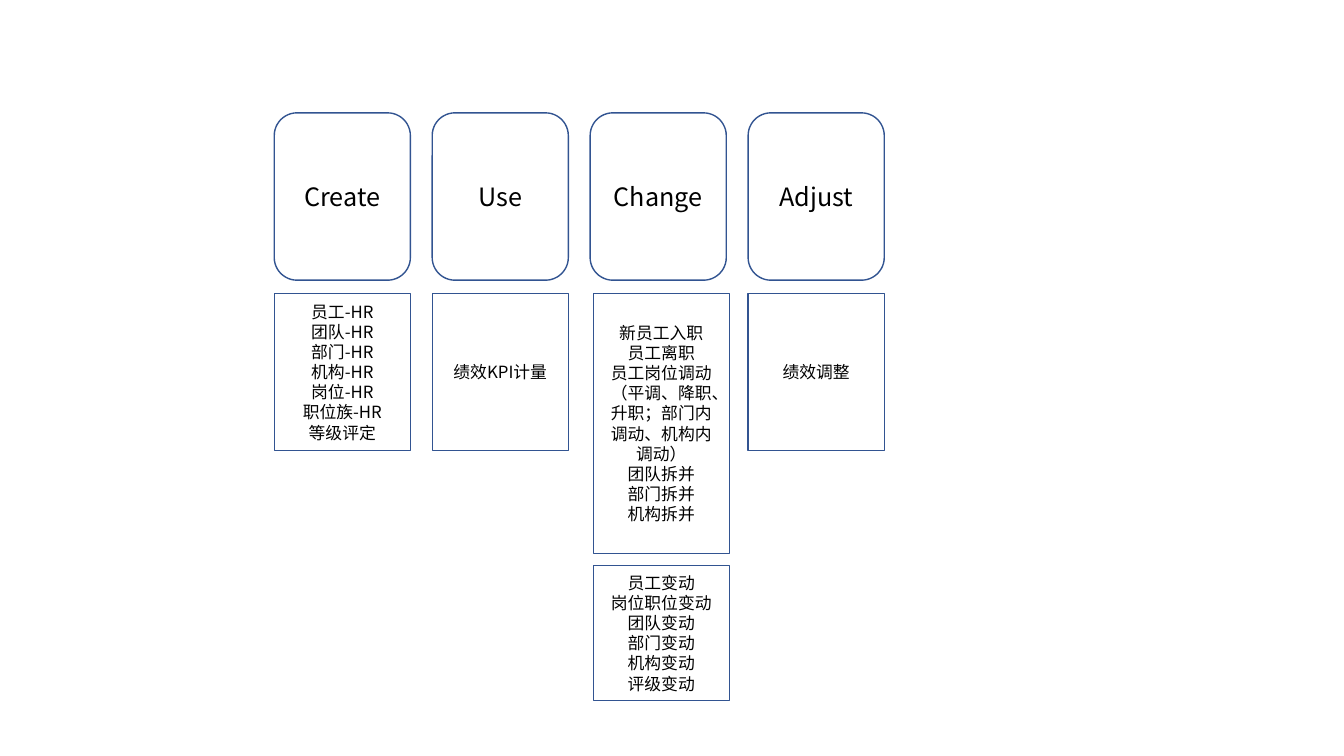
from dataclasses import dataclass

from lxml import etree
from pptx import Presentation
from pptx.dml.color import RGBColor
from pptx.enum.shapes import MSO_SHAPE
from pptx.enum.text import MSO_ANCHOR, PP_ALIGN
from pptx.oxml.ns import qn
from pptx.slide import Slide
from pptx.util import Inches, Pt

ROUNDED = MSO_SHAPE.ROUNDED_RECTANGLE
RECTANGLE = MSO_SHAPE.RECTANGLE
CENTER = PP_ALIGN.CENTER
MIDDLE = MSO_ANCHOR.MIDDLE


@dataclass(frozen=True)
class Theme:
    font: str = "Noto Sans CJK SC"
    fill: RGBColor = RGBColor(0xFF, 0xFF, 0xFF)
    outline: RGBColor = RGBColor(0x32, 0x54, 0x91)
    text: RGBColor = RGBColor(0, 0, 0)
    outline_width: Pt = Pt(1)
    stage_size: Pt = Pt(18)
    detail_size: Pt = Pt(12)


@dataclass(frozen=True)
class Detail:
    lines: tuple[str, ...]
    top: float = 2.91
    height: float = 1.56


@dataclass(frozen=True)
class Stage:
    name: str
    details: tuple[Detail, ...]
    detail_shift: float = 0


THEME = Theme()

# Column grid, in inches
FIRST_LEFT, LAST_LEFT = 2.72, 7.42
BOX_WIDTH = 1.35
STAGE_TOP, STAGE_HEIGHT = 1.12, 1.66

# Stages of the life cycle with their details
STAGES = (
    Stage("Create", (
        Detail(("员工-HR", "团队-HR", "部门-HR", "机构-HR", "岗位-HR",
                "职位族-HR", "等级评定")),
    )),
    Stage("Use", (Detail(("绩效KPI计量",)),)),
    Stage("Change", (
        Detail(("新员工入职", "员工离职",
                "员工岗位调动（平调、降职、升职；部门内调动、机构内调动）",
                "团队拆并", "部门拆并", "机构拆并"), height=2.58),
        Detail(("员工变动", "岗位职位变动", "团队变动", "部门变动",
                "机构变动", "评级变动"), top=5.61, height=1.34),
    ), detail_shift=0.03),
    Stage("Adjust", (Detail(("绩效调整",)),)),
)


def add_box(slide: Slide, kind: MSO_SHAPE, left: float, top: float,
            height: float, lines: tuple[str, ...], size: Pt) -> None:
    """Draw an outlined box with centred lines of text."""
    box = slide.shapes.add_shape(kind, Inches(left), Inches(top),
                                 Inches(BOX_WIDTH), Inches(height))
    box.shadow.inherit = False
    box.fill.solid()
    box.fill.fore_color.rgb = THEME.fill
    box.line.color.rgb = THEME.outline
    box.line.width = THEME.outline_width

    frame = box.text_frame
    frame.text = "\n".join(lines)
    frame.word_wrap = True
    frame.vertical_anchor = MIDDLE
    for paragraph in frame.paragraphs:
        paragraph.alignment = CENTER
        for run in paragraph.runs:
            run.font.size = size
            run.font.color.rgb = THEME.text
            run.font.name = THEME.font
            # Chinese characters take the East Asian typeface
            east_asian = etree.SubElement(run._r.get_or_add_rPr(), qn("a:ea"))
            east_asian.set("typeface", THEME.font)


def add_stage(slide: Slide, stage: Stage, left: float) -> None:
    """Draw one column: the stage and the details below it."""
    add_box(slide, ROUNDED, left, STAGE_TOP, STAGE_HEIGHT, (stage.name,),
            THEME.stage_size)
    for detail in stage.details:
        add_box(slide, RECTANGLE, left + stage.detail_shift, detail.top,
                detail.height, detail.lines, THEME.detail_size)


presentation = Presentation()
presentation.slide_width = Inches(13.33)
presentation.slide_height = Inches(7.5)
life_cycle = presentation.slides.add_slide(presentation.slide_layouts[6])

# Columns at equal steps
pitch = (LAST_LEFT - FIRST_LEFT) / (len(STAGES) - 1)
for column, stage in enumerate(STAGES):
    add_stage(life_cycle, stage, FIRST_LEFT + column * pitch)

presentation.save("out.pptx")
